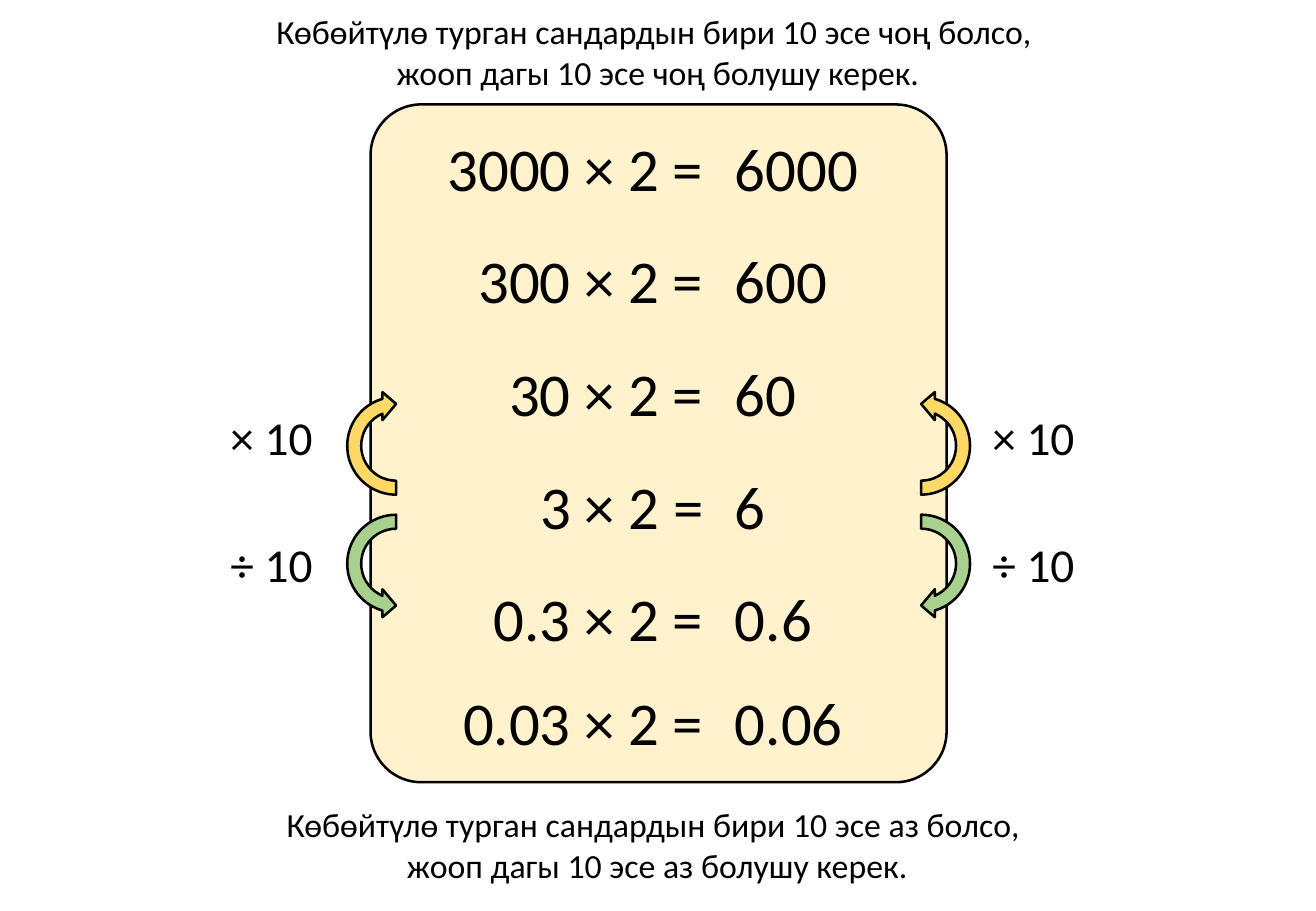
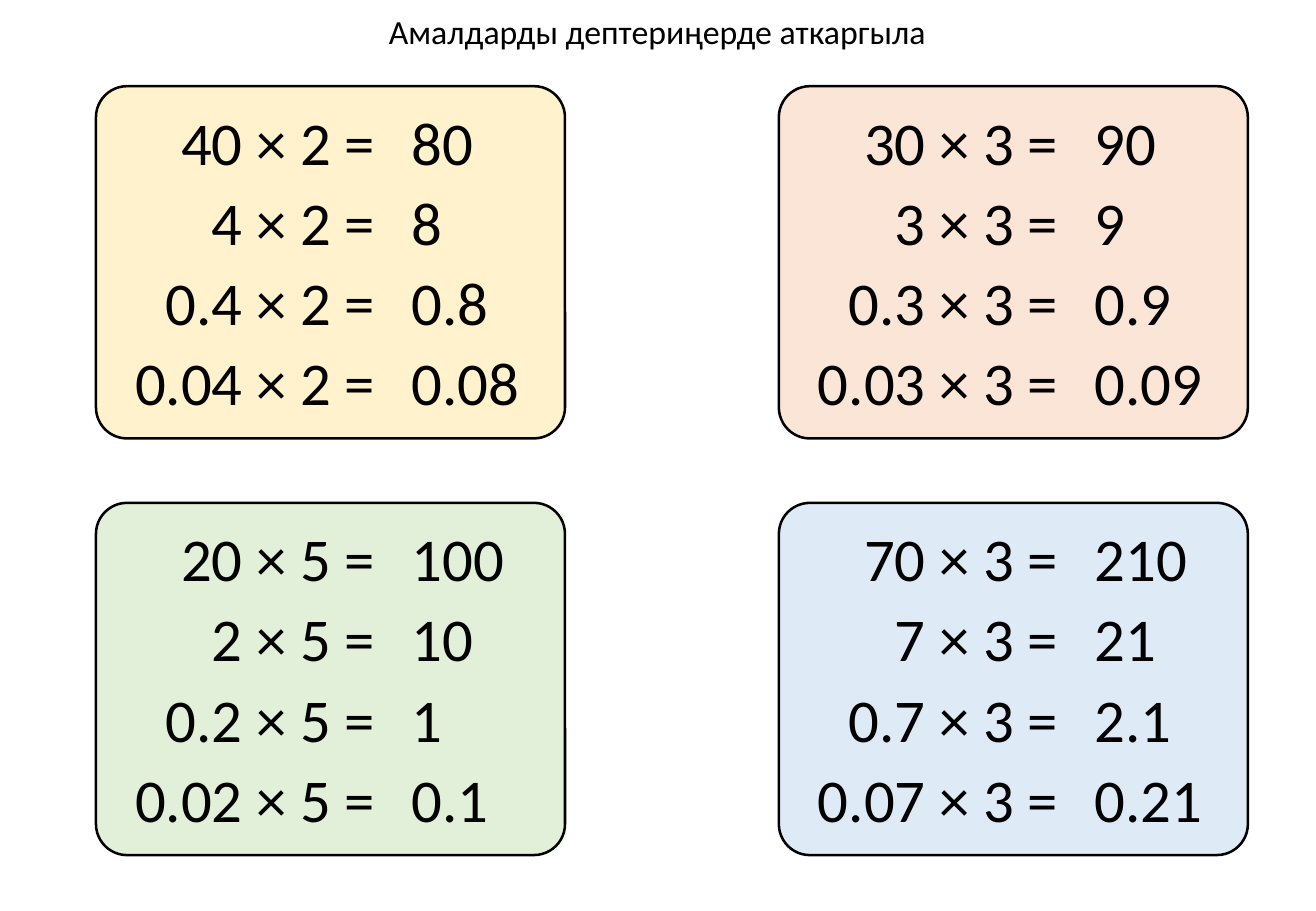
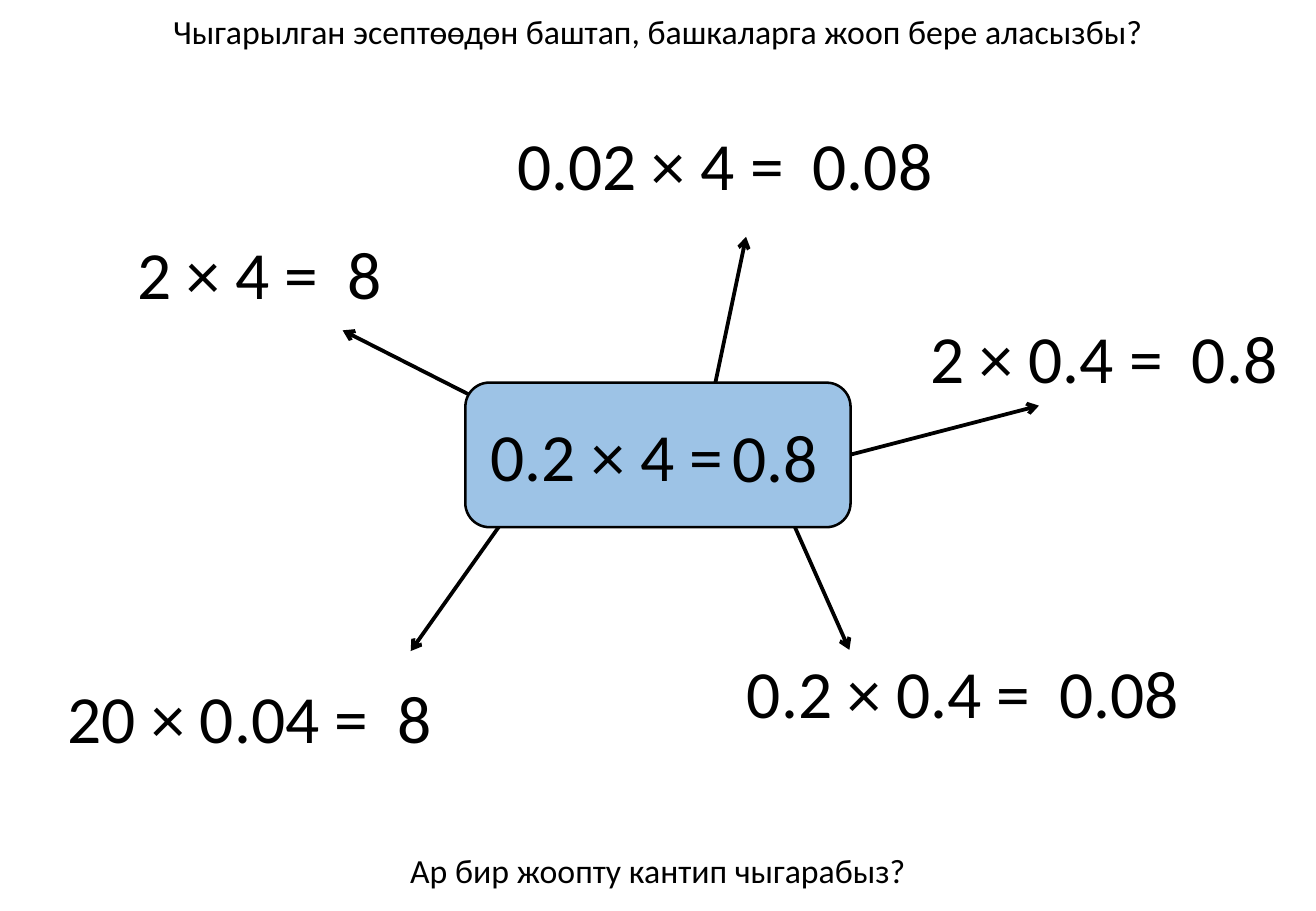
from pptx import Presentation
from pptx.dml.color import RGBColor
from pptx.enum.shapes import MSO_CONNECTOR, MSO_SHAPE
from pptx.enum.text import MSO_AUTO_SIZE, PP_ALIGN
from pptx.oxml.ns import qn
from pptx.util import Emu, Pt
from lxml.etree import SubElement

PX = 9144  # 100 px to the inch
FONT = "Calibri"
COLORS = {
    "ink": "000000", "cream": "FFF2CC", "peach": "FBE5D6", "mint": "E2F0D9",
    "sky": "DEEBF7", "blue": "9DC3E6", "gold": "FFD966", "green": "A9D18E",
}
GLYPH_EM = {".": 0.252, " ": 0.226}  # digits and signs are 0.507 em
LEFT, CENTER, RIGHT = PP_ALIGN.LEFT, PP_ALIGN.CENTER, PP_ALIGN.RIGHT
CAPTION, LABEL, SUM, BIG_SUM = 20, 28, 36, 40
MIDDLE = 541


def add_text(slide, text, x, y, size, align=LEFT, width=None):
    """Put text at y; x is its left edge, centre or right edge by alignment."""
    lines = text.split("\n")
    if width is None:
        # Side insets take 20 px; 2 px more keep the last digit on its line
        ems = sum(GLYPH_EM.get(glyph, 0.507) for glyph in text)
        width = round(ems * size * 100 / 72) + 22
    height = round(1.695 * size * len(lines)) + 10
    left = x - {LEFT: 0, CENTER: width // 2, RIGHT: width}[align]
    box = slide.shapes.add_textbox(*(Emu(v * PX) for v in (left, y, width, height)))
    frame = box.text_frame
    frame.word_wrap = False
    frame.auto_size = MSO_AUTO_SIZE.SHAPE_TO_FIT_TEXT
    frame.text = text
    for paragraph in frame.paragraphs:
        paragraph.alignment = align
        paragraph.font.name = FONT
        paragraph.font.size = Pt(size)
        paragraph.font.color.rgb = RGBColor.from_string(COLORS["ink"])


def add_outlined(slide, preset, x, y, width, height, color):
    shape = slide.shapes.add_shape(preset, *(Emu(v * PX) for v in (x, y, width, height)))
    shape.shadow.inherit = False
    shape.fill.solid()
    shape.fill.fore_color.rgb = RGBColor.from_string(COLORS[color])
    shape.line.color.rgb = RGBColor.from_string(COLORS["ink"])
    shape.line.width = Pt(1.5)
    return shape


prs = Presentation()
prs.slide_width, prs.slide_height = Emu(1083 * PX), Emu(750 * PX)
blank = prs.slide_layouts[6]

# Slide 1: ten times bigger, ten times smaller
scaling = prs.slides.add_slide(blank)
card = add_outlined(scaling, MSO_SHAPE.ROUNDED_RECTANGLE, 305, 86, 474, 558, "cream")
card.adjustments[0] = 0.088
for y, factor, answer in [
    (103, "3000", "6000"), (195, "300", "600"), (288, "30", "60"),
    (381, "3", "6"), (473, "0.3", "0.6"), (559, "0.03", "0.06"),
]:
    add_text(scaling, f"{factor} × 2 = ", 600, y, SUM, RIGHT)
    add_text(scaling, answer, 595, y, SUM)

# Step arrows and their labels on both sides of the card
for step, label_y, arrow_y, rotation, color, flipped_x in [
    ("× 10", 331, 321, 270, "gold", 712), ("÷ 10", 436, 418, 90, "green", 280),
]:
    for arrow_x, label_right in [(280, 267), (712, 894)]:
        arrow = add_outlined(scaling, MSO_SHAPE.CIRCULAR_ARROW, arrow_x, arrow_y, 92, 92, color)
        arrow.rotation = rotation
        if arrow_x == flipped_x:
            arrow._element.spPr.find(qn("a:xfrm")).set("flipV", "1")
        add_text(scaling, step, label_right, label_y, LABEL, RIGHT)

for change, y, width in [("чоң", 4, 655), ("аз", 657, 636)]:
    rule = (f"Көбөйтүлө турган сандардын бири 10 эсе {change} болсо, \n"
            f"жооп дагы 10 эсе {change} болушу керек.")
    add_text(scaling, rule, MIDDLE, y, CAPTION, CENTER, width)

# Slide 2: four cards of sums
practice = prs.slides.add_slide(blank)
add_text(practice, "Амалдарды дептериңерде аткаргыла", MIDDLE, 4, CAPTION, CENTER, 466)
for x, y, color, multiplier, sums in [
    (79, 71, "cream", 2, [("40", "80"), ("4", "8"), ("0.4", "0.8"), ("0.04", "0.08")]),
    (641, 71, "peach", 3, [("30", "90"), ("3", "9"), ("0.3", "0.9"), ("0.03", "0.09")]),
    (79, 414, "mint", 5, [("20", "100"), ("2", "10"), ("0.2", "1"), ("0.02", "0.1")]),
    (641, 414, "sky", 3, [("70", "210"), ("7", "21"), ("0.7", "2.1"), ("0.07", "0.21")]),
]:
    card = add_outlined(practice, MSO_SHAPE.ROUNDED_RECTANGLE, x, y, 386, 290, color)
    card.adjustments[0] = 0.088
    for row, (factor, answer) in enumerate(sums):
        row_y = y + 10 + 66 * row
        add_text(practice, f"{factor} × {multiplier} = ", x + 251, row_y, SUM, RIGHT)
        add_text(practice, answer, x + 250, row_y, SUM)

# Slide 3: one known sum leads to five others
derived = prs.slides.add_slide(blank)
add_text(derived, "Чыгарылган эсептөөдөн баштап, башкаларга жооп бере аласызбы?",
         MIDDLE, 4, CAPTION, CENTER, 827)
for product, answer, right, y, start, end in [
    ("2 × 4 =", "8", 272, 186, (408, 336), (282, 272)),
    ("0.02 × 4 =", "0.08", 655, 96, (586, 328), (614, 195)),
    ("2 × 0.4 =", "0.8", 967, 255, (678, 380), (855, 334)),
    ("0.2 × 0.4 =", "0.08", 858, 531, (648, 420), (699, 535)),
    ("20 × 0.04 =", "8", 313, 552, (421, 419), (338, 536)),
]:
    add_text(derived, product, right, y, BIG_SUM, RIGHT)
    add_text(derived, answer, right + 4, y, BIG_SUM)
    pointer = derived.shapes.add_connector(
        MSO_CONNECTOR.STRAIGHT, *(Emu(v * PX) for v in start + end))
    pointer.line.color.rgb = RGBColor.from_string(COLORS["ink"])
    pointer.line.width = Pt(2.25)
    properties = pointer._element.spPr
    SubElement(properties.find(qn("a:ln")), qn("a:tailEnd"), type="arrow")
    SubElement(properties, qn("a:effectLst"))

# The known sum covers the pointer starts
add_outlined(derived, MSO_SHAPE.ROUNDED_RECTANGLE, 383, 315, 317, 119, "blue")
add_text(derived, "0.2 × 4 =", 605, 336, BIG_SUM, RIGHT)
add_text(derived, "0.8", 593, 337, BIG_SUM)
add_text(derived, "Ар бир жоопту кантип чыгарабыз?", MIDDLE, 695, CAPTION, CENTER, 431)

prs.save("out.pptx")
